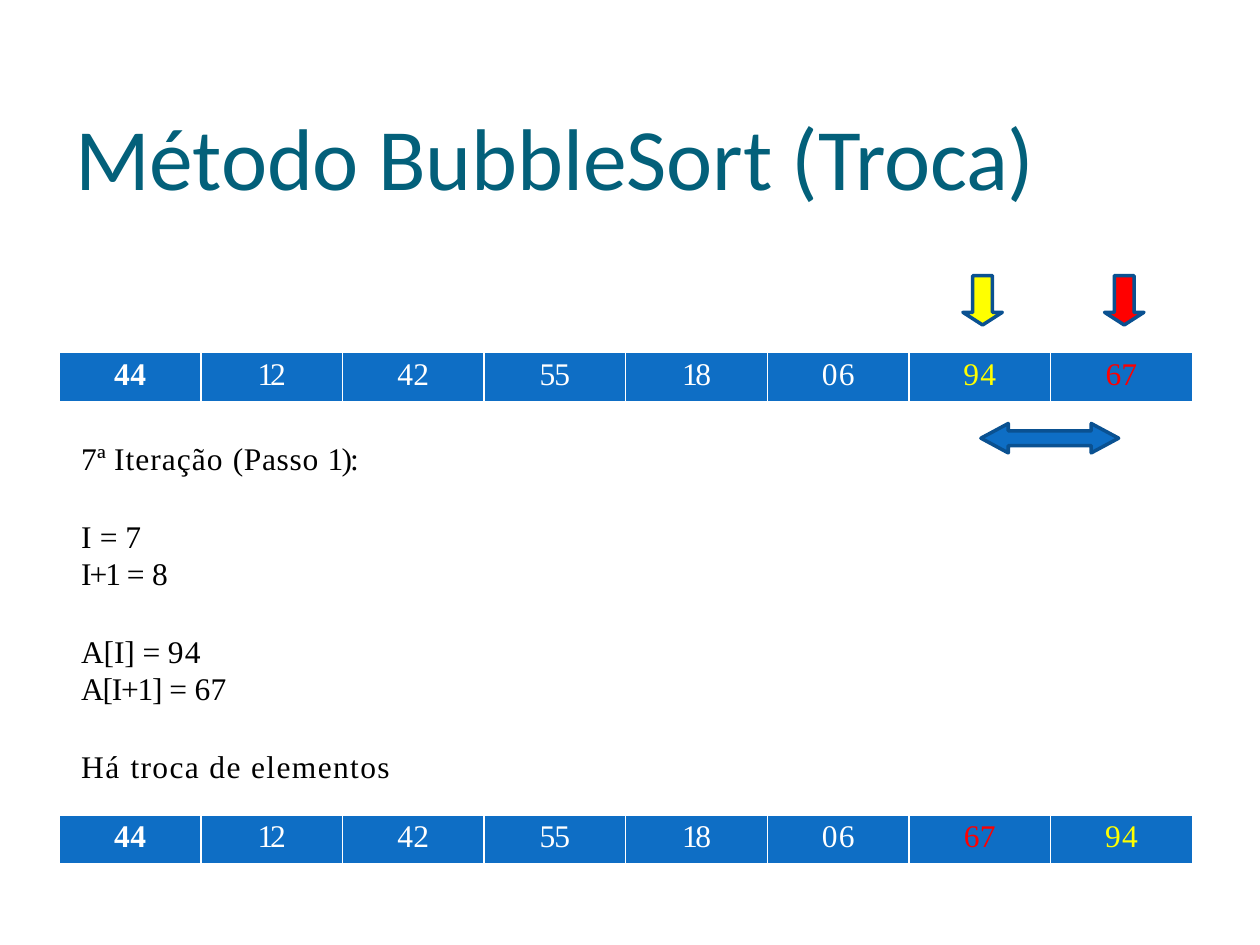
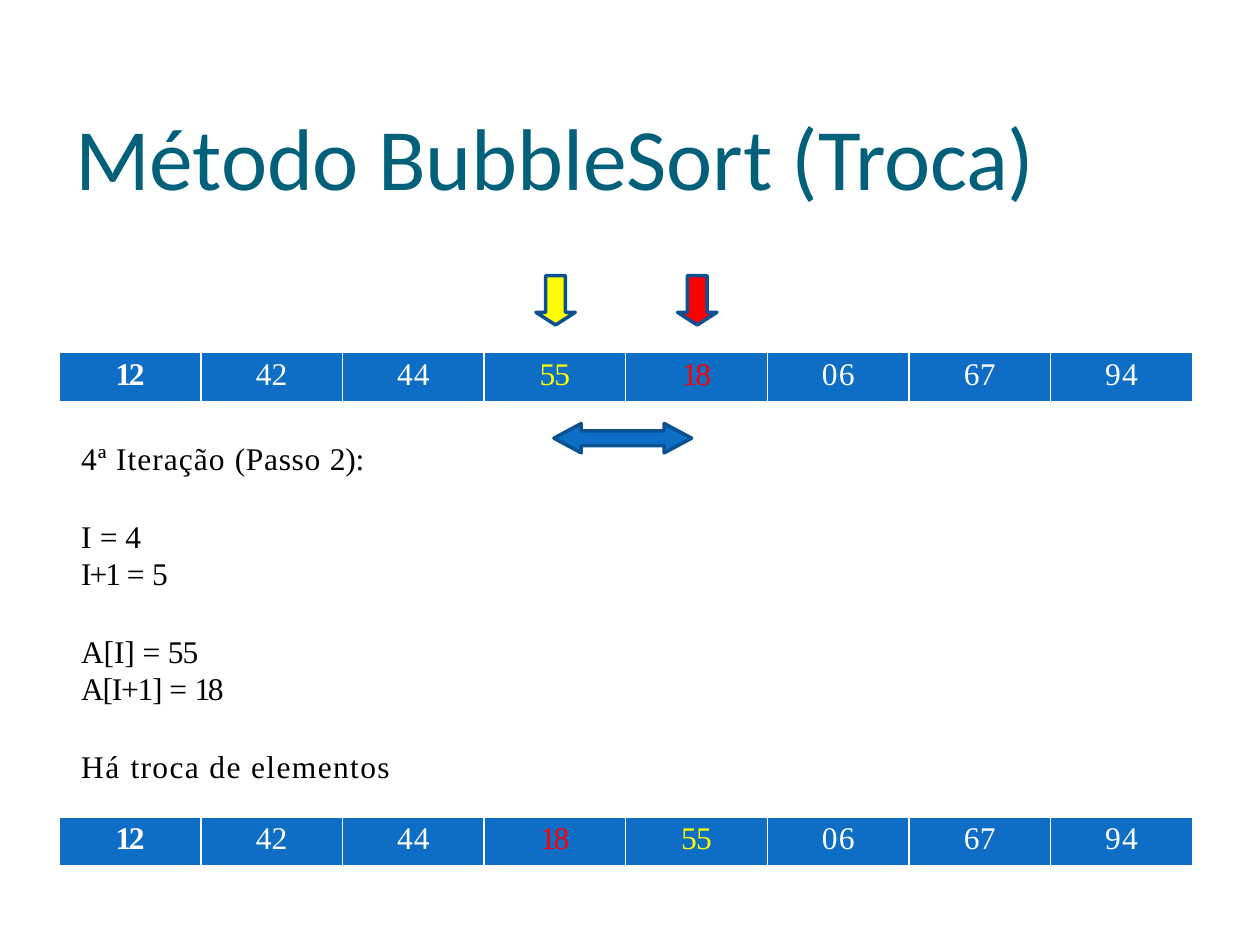
from dataclasses import dataclass

from lxml import etree
from pptx import Presentation
from pptx.dml.color import RGBColor
from pptx.enum import shapes, text
from pptx.oxml import ns
from pptx.util import Pt

BLUE, EDGE, TEAL = "0E6EC5", "0A5191", "03607A"
WHITE, BLACK, GOLD, RED = "FFFFFF", "000000", "FFFF00", "FF0000"
SERIF, SANS = "Times New Roman", "Calibri"
LEFT, COL, HIGH = 33.84, 80.93, 28
KERN = {
    "44": 0.6, "12": -1.9, "42": 0.1, "55": -0.5, "18": -1.4, "06": 0.7,
    "94": 0.7, "67": 0.1, "7": -0.3, "8": 0.7, "4": 0.6, "5": -0.5,
    "7ª ": 0.1, "4ª ": 0.5, "Iteração ": 0.6, "(Passo ": 0.4,
    "1):": -1.1, "2):": -0.1, "I ": 0.1, "I+1 ": -1.2, "= ": -0.2,
    "A[I] ": -0.1, "A[I+1] ": -0.7, "Há ": 0.9,
    "troca de elementos": 0.8, "Método BubbleSort (Troca)": -0.1,
}
HEAD = {"44": 0.3, "12": -1.4}


@dataclass
class Step:
    nums: list[str]
    turn: int
    step: int
    mid: float
    end: float


@dataclass
class Arrow:
    kind: shapes.MSO_SHAPE
    mid: float
    top: float
    wide: float
    high: float
    tip: float
    fill: str


STEPS = [
    Step(["44", "12", "42", "55", "18", "06", "94", "67"], 7, 1, 561.5, 466),
    Step(["12", "42", "44", "55", "18", "06", "67", "94"], 4, 2, 317.5, 467),
]


def tint(code: str) -> RGBColor:
    return RGBColor.from_string(code)


def style(par, face: str, size: float, code: str, bold: bool = False) -> None:
    font = par.font
    font.name, font.size, font.bold = face, Pt(size), bold
    font.color.rgb = tint(code)


def say(par, words: list[str], kern: dict[str, float] = KERN) -> None:
    """Add each word as a run with its own letter spacing."""
    for word in words:
        run = par.add_run()
        run.text = word
        run._r.get_or_add_rPr().set("spc", str(round(kern[word] * 100)))


def inset(frame, left: float, top: float) -> None:
    frame.margin_left, frame.margin_top = Pt(left), Pt(top)
    frame.margin_right = frame.margin_bottom = 0
    frame.vertical_anchor = text.MSO_ANCHOR.TOP
    frame.word_wrap = True


def edge(cell, side: str, wide: float) -> None:
    line = etree.SubElement(cell._tc.get_or_add_tcPr(), ns.qn(f"a:ln{side}"), w=str(Pt(wide)))
    fill = etree.SubElement(line, ns.qn("a:solidFill"))
    etree.SubElement(fill, ns.qn("a:srgbClr"), val=WHITE)


def title(slide) -> None:
    head = slide.shapes.title
    head.left, head.top, head.width, head.height = Pt(42), Pt(58), Pt(560), Pt(62)
    frame = head.text_frame
    frame.auto_size = text.MSO_AUTO_SIZE.NONE
    inset(frame, 1, 0.8)
    par = frame.paragraphs[0]
    par.alignment = text.PP_ALIGN.LEFT
    style(par, SANS, 50, TEAL)
    say(par, ["Método BubbleSort (Troca)"])


def array(slide, top: float, nums: list[str], hues: dict[str, str]) -> None:
    count = len(nums)
    grid = slide.shapes.add_table(1, count, Pt(LEFT), Pt(top), Pt(COL * count), Pt(HIGH)).table
    grid.first_row = grid.horz_banding = False
    grid.rows[0].height = Pt(HIGH)
    for col, num in enumerate(nums):
        grid.columns[col].width = Pt(COL)
        cell = grid.cell(0, col)
        cell.margin_left = cell.margin_right = cell.margin_bottom = 0
        cell.margin_top = Pt(2.5)
        edge(cell, "L", 1 if col else 0.5)
        edge(cell, "R", 1 if col < count - 1 else 0.5)
        edge(cell, "T", 0.5)
        edge(cell, "B", 1.5)
        cell.fill.solid()
        cell.fill.fore_color.rgb = tint(BLUE)
        par = cell.text_frame.paragraphs[0]
        par.alignment = text.PP_ALIGN.CENTER
        style(par, SERIF, 18, hues.get(num, WHITE), col == 0)
        say(par, [num], KERN if col else HEAD)


def point(slide, item: Arrow) -> None:
    shape = slide.shapes.add_shape(
        item.kind, Pt(item.mid - item.wide / 2), Pt(item.top), Pt(item.wide), Pt(item.high))
    shape.adjustments[0], shape.adjustments[1] = 0.5, item.tip
    shape.shadow.inherit = False
    shape.fill.solid()
    shape.fill.fore_color.rgb = tint(item.fill)
    shape.line.color.rgb = tint(EDGE)
    shape.line.width = Pt(2)


def notes(slide, step: Step, left: str, right: str) -> None:
    """Write the step's text in groups set apart by paragraph spacing."""
    groups = [
        [[f"{step.turn}ª ", "Iteração ", "(Passo ", f"{step.step}):"]],
        [["I ", "= ", str(step.turn)], ["I+1 ", "= ", str(step.turn + 1)]],
        [["A[I] ", "= ", left], ["A[I+1] ", "= ", right]],
        [["Há ", "troca de elementos"]],
    ]
    frame = slide.shapes.add_textbox(Pt(45.4), Pt(249.8), Pt(190), Pt(196.6)).text_frame
    inset(frame, 1, 1.3)
    for rank, group in enumerate(groups):
        for place, words in enumerate(group):
            first = rank == place == 0
            par = frame.paragraphs[0] if first else frame.add_paragraph()
            par.line_spacing = Pt(21.5)
            par.space_before = Pt(22.8 if rank and not place else 0)
            style(par, SERIF, 18, BLACK)
            say(par, words)


def build(deck, step: Step) -> None:
    slide = deck.slides.add_slide(deck.slide_layouts[5])
    spot = step.turn - 1
    left, right = step.nums[spot:spot + 2]
    hues = {left: GOLD, right: RED}
    swap = step.nums[:spot] + [right, left] + step.nums[spot + 2:]
    kinds = shapes.MSO_SHAPE
    title(slide)
    array(slide, 201.6, step.nums, hues)
    notes(slide, step, left, right)
    for place, hue in enumerate((GOLD, RED)):
        point(slide, Arrow(kinds.DOWN_ARROW, step.mid + place * COL, 157.5, 22.5, 28.2, 0.32, hue))
    array(slide, step.end, swap, hues)
    point(slide, Arrow(kinds.LEFT_RIGHT_ARROW, step.mid + 38.4, 242, 78.7, 16.8, 0.93, BLUE))


def main() -> None:
    deck = Presentation()
    deck.slide_width, deck.slide_height = Pt(720), Pt(540)
    for step in STEPS:
        build(deck, step)
    deck.save("out.pptx")


if __name__ == "__main__":
    main()
